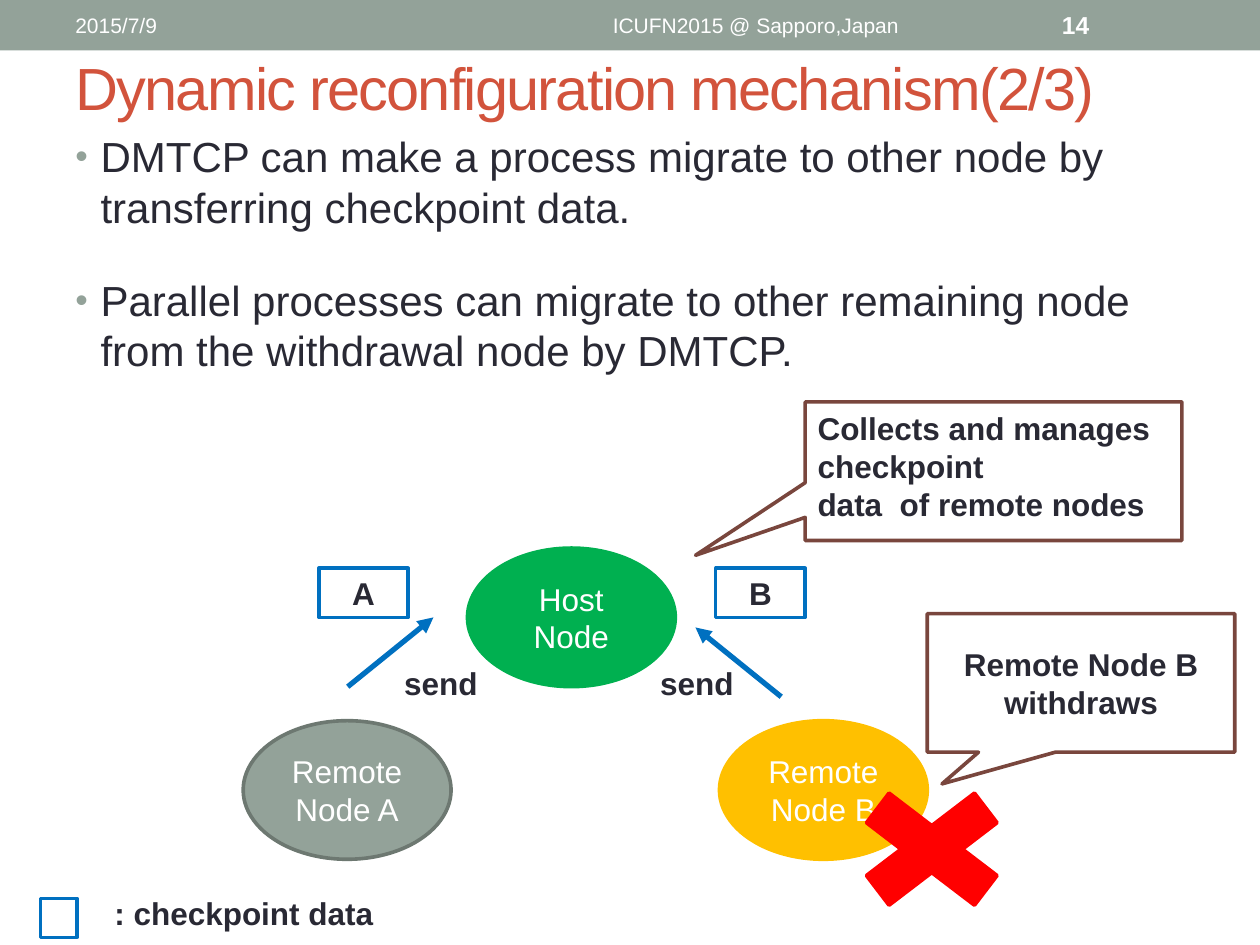
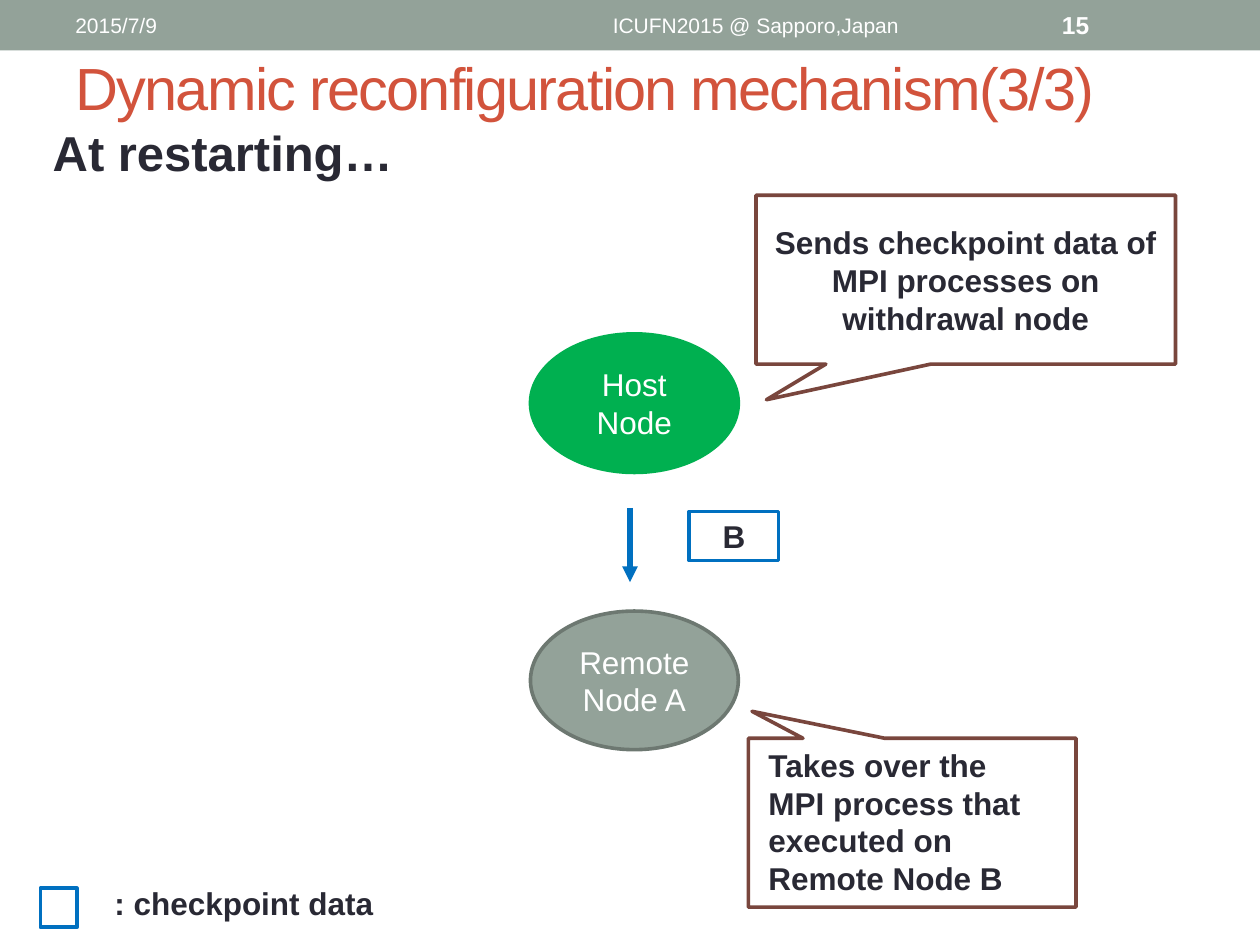
from pptx import Presentation
from pptx import util as u
from pptx.dml.color import RGBColor
from pptx.enum import shapes as sh, text as tx
from pptx.oxml import parse_xml
from pptx.oxml.ns import qn, nsdecls
from lxml import etree

# Shared look
W, H = 10, 7.5
MARGIN = 0.05 * W
FONT = "Arial"
HEX = dict(sage="93A299", edge="6D7871", red="D2533C", ink="292934", white="FFFFFF",
           blue="0070C0", green="00B050", gold="FFC000", brown="79463D", cross="FF0000")
NODE, TAG, KEY = (1.65, 1.1), (0.71, 0.39), (0.29, 0.31)
FORM = sh.MSO_SHAPE
LEFT, MID = tx.PP_ALIGN.LEFT, tx.PP_ALIGN.CENTER
TOP, CORE = tx.MSO_ANCHOR.TOP, tx.MSO_ANCHOR.MIDDLE
BOLD = dict(size=18, bold=True)

# Header texts: left, width, alignment, format
HEAD = dict(date=(MARGIN, 3.17, LEFT, dict(size=12)),
            page=(8.33, 1.17, LEFT, dict(size=14, bold=True)),
            event=(3.75, 4.5, MID, dict(size=12)))

# Node kinds: label, fill, line
KINDS = dict(host=("Host\nNode", "green", "green"),
             a=("Remote\nNode A", "sage", "edge"),
             b=("Remote\nNode B", "gold", "gold"))

# Content
SLIDES = [
    dict(title="Dynamic reconfiguration mechanism(2/3)", page="14", key=7.13,
         points=["DMTCP can make a process migrate to other node by "
                 "transferring checkpoint data.",
                 "Parallel processes can migrate to other remaining node "
                 "from the withdrawal node by DMTCP."],
         calls=[((6.39, 3.19, 2.99, 1.1), (-0.791, 0.607), ""),
                ((7.36, 4.87, 2.44, 1.1), (-0.452, 0.729), "Remote Node B withdraws")],
         nodes=[("a", 1.93, 5.72), ("b", 5.71, 5.72), ("host", 3.71, 4.35)],
         lines=[(2.76, 5.45, 3.44, 4.9), (6.2, 5.53, 5.52, 4.98)],
         tags=[("B", 5.68, 4.51), ("A", 2.53, 4.51)],
         notes=[("send", (3.11, 5.22, 0.96, 0.4), 18),
                ("send", (5.14, 5.22, 0.96, 0.4), 18),
                ("Collects and manages checkpoint\ndata  of remote nodes",
                 (6.39, 3.2, 2.99, 1.01), 18)],
         cross=(6.57, 6.11, 1.65, 1.26)),
    dict(title="Dynamic reconfiguration mechanism(3/3)", page="15", key=7.05,
         calls=[((6, 1.55, 3.33, 1.34), (-0.475, 0.711),
                 "Sends checkpoint data of MPI processes on withdrawal node"),
                ((5.94, 5.86, 2.6, 1.34), (-0.489, -0.66), "")],
         nodes=[("host", 4.21, 2.65), ("a", 4.21, 4.85)],
         lines=[(5, 4.03, 5, 4.62)],
         tags=[("B", 5.47, 4.06)],
         notes=[("At restarting…", (0.32, 0.92, 3.5, 0.57), 28),
                ("Takes over the\nMPI process that executed on Remote Node B",
                 (6, 5.87, 2.48, 1.31), 18)]),
]


# Helpers
def rgb(name):
    return RGBColor.from_string(HEX[name])


def inch(box):
    return [u.Inches(v) for v in box]


def write(shape, words, color="ink", align=LEFT, anchor=TOP, **form):
    frame = shape.text_frame
    frame.word_wrap, frame.vertical_anchor = True, anchor
    frame.text = words
    form = dict(form, name=FONT, size=u.Pt(form["size"]))
    for para in frame.paragraphs:
        para.alignment = align
        for run in para.runs:
            run.font.color.rgb = rgb(color)
            for key, val in form.items():
                setattr(run.font, key, val)
    return frame


def label(slide, words, box, grow=False, **form):
    frame = write(slide.shapes.add_textbox(*inch(box)), words, **form)
    if grow:
        frame.auto_size = tx.MSO_AUTO_SIZE.SHAPE_TO_FIT_TEXT
    return frame


def draw(slide, form, box, fill, line=None, adj=()):
    shape = slide.shapes.add_shape(form, *inch(box))
    shape.shadow.inherit = False
    shape.fill.solid()
    shape.fill.fore_color.rgb = rgb(fill)
    if line:
        shape.line.color.rgb = rgb(line)
        shape.line.width = u.Pt(2.08)
    else:
        shape.line.fill.background()
    for i, val in enumerate(adj):
        shape.adjustments[i] = val
    return shape


def arrow(slide, ends):
    link = slide.shapes.add_connector(sh.MSO_CONNECTOR.STRAIGHT, *inch(ends))
    link.line.color.rgb = rgb("blue")
    link.line.width = u.Pt(3)
    etree.SubElement(link.line._get_or_add_ln(), qn("a:tailEnd"), type="triangle")
    etree.SubElement(link.element.spPr, qn("a:effectLst"))


def bullets(slide, points):
    frame = label(slide, "\n".join(points), (MARGIN, 0.99, W - 2 * MARGIN, 2.2), size=24)
    for i, para in enumerate(frame.paragraphs):
        para.space_before = u.Pt(24.5 if i else 4.8)
        props = para._p.get_or_add_pPr()
        props.set("marL", str(u.Inches(0.2)))
        props.set("indent", str(-u.Inches(0.2)))
        for part in (f'<a:buClr {nsdecls("a")}><a:srgbClr val="{HEX["sage"]}"/></a:buClr>',
                     f'<a:buSzPct {nsdecls("a")} val="85000"/>',
                     f'<a:buFont {nsdecls("a")} typeface="{FONT}"/>',
                     f'<a:buChar {nsdecls("a")} char="•"/>'):
            props.append(parse_xml(part))


def header(slide, data):
    words = dict(date="2015/7/9", page=data["page"], event="ICUFN2015 @ Sapporo,Japan")
    for name, (left, wide, align, form) in HEAD.items():
        label(slide, words[name], (left, 0.02, wide, 0.36), color="white",
              align=align, anchor=CORE, **form)
    title = slide.shapes.title
    title.left, title.top, title.width, title.height = inch((MARGIN, 0.15, W - 2 * MARGIN, 1.08))
    frame = write(title, data["title"], "red", anchor=CORE, size=34)
    frame.paragraphs[0].runs[0].font._element.set("spc", "-100")


def legend(slide, top):
    draw(slide, FORM.RECTANGLE, (0.32, top, *KEY), "white", "blue")
    label(slide, ": checkpoint data", (0.81, top - 0.08, 2.36, 0.4), grow=True, **BOLD)


# Build
prs = Presentation()
prs.slide_width, prs.slide_height = inch((W, H))
layout = prs.slide_layouts[5]

for n, data in enumerate(SLIDES):
    slide = prs.slides.add_slide(layout)
    if n == 0:  # the band goes to the layout, shared by all slides
        band = draw(slide, FORM.RECTANGLE, (0, 0, W, 0.4), "sage")
        layout.element.cSld.spTree.insert(2, band.element)
    header(slide, data)
    for box, adj, words in data["calls"]:
        call = draw(slide, FORM.RECTANGULAR_CALLOUT, box, "white", "brown", adj)
        if words:
            write(call, words, align=MID, anchor=CORE, **BOLD)
    for kind, left, top in data["nodes"]:
        words, fill, line = KINDS[kind]
        node = draw(slide, FORM.OVAL, (left, top, *NODE), fill, line)
        write(node, words, "white", MID, CORE, size=18)
    for ends in data["lines"]:
        arrow(slide, ends)
    for words, left, top in data["tags"]:
        tag = draw(slide, FORM.RECTANGLE, (left, top, *TAG), "white", "blue")
        write(tag, words, align=MID, anchor=CORE, **BOLD)
    for words, box, size in data["notes"]:
        label(slide, words, box, grow=True, size=size, bold=True)
    if "cross" in data:
        draw(slide, FORM.MATH_MULTIPLY, data["cross"], "cross", "cross")
    legend(slide, data["key"])
    if "points" in data:
        bullets(slide, data["points"])

prs.save("out.pptx")
